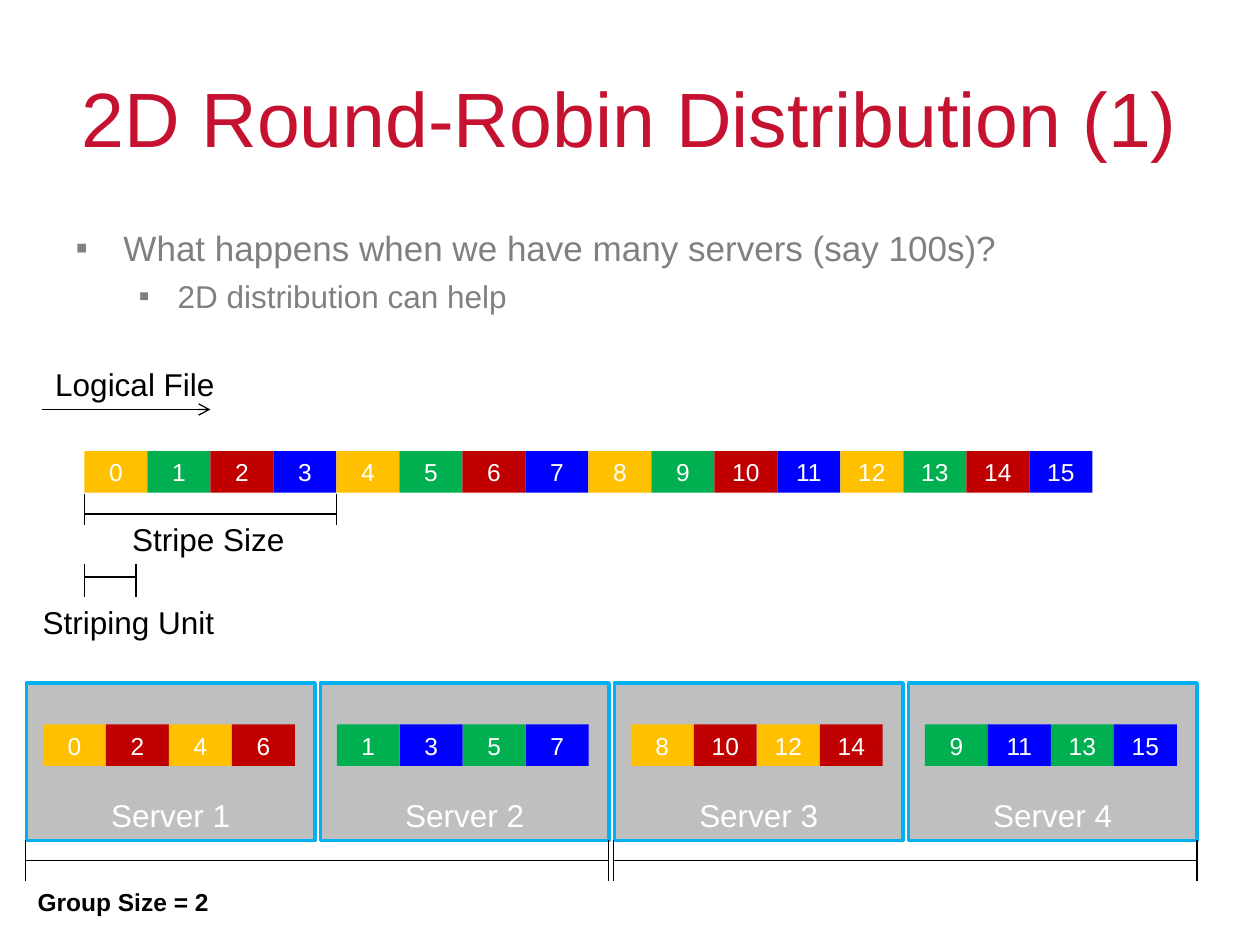
from lxml import etree
from pptx import Presentation
from pptx.dml.color import RGBColor
from pptx.enum.shapes import MSO_CONNECTOR, MSO_SHAPE
from pptx.enum.text import MSO_ANCHOR, MSO_AUTO_SIZE, PP_ALIGN
from pptx.oxml.ns import qn
from pptx.util import Inches, Pt

RECTANGLE = MSO_SHAPE.RECTANGLE
STRAIGHT = MSO_CONNECTOR.STRAIGHT
MIDDLE, BOTTOM = MSO_ANCHOR.MIDDLE, MSO_ANCHOR.BOTTOM
CENTER = PP_ALIGN.CENTER
NO_FIT, GROW = MSO_AUTO_SIZE.NONE, MSO_AUTO_SIZE.SHAPE_TO_FIT_TEXT

RED, GRAY, BLACK, WHITE = "C41230", "808080", "000000", "FFFFFF"
SERVER_FILL, SERVER_LINE = "BFBFBF", "00B0F0"
BLOCK_COLORS = ["FFC000", "00B050", "C00000", "0000FF"]

BLOCK_WIDTH, BLOCK_HEIGHT, BLOCK_COUNT = 0.5, 0.33, 16
SERVER_COUNT, SERVER_WIDTH, SERVER_HEIGHT = 4, 2.29, 1.25
SERVER_LEFT, SERVER_TOP, SERVER_PITCH = 0.21, 5.42, 7 / 3
GROUP_SIZE = 2
BLOCKS_PER_GROUP = BLOCK_COUNT * GROUP_SIZE // SERVER_COUNT

# Text, level, size, space before, left margin, first-line indent
BULLETS = [
    ("What happens when we have many servers (say 100s)?", 0, 20, 0, 0.38, -0.38),
    ("2D distribution can help", 1, 18, 4.5, 0.81, -0.31),
]


def rgb(color):
    return RGBColor.from_string(color)


class SlideBuilder:
    """Holds the text style and the slide being filled."""

    font_name = "Arial"

    def __init__(self, slide):
        self.slide = slide

    def style(self, para, size, color, bold=False):
        formats = {"name": self.font_name, "size": Pt(size), "bold": bold}
        for key, value in formats.items():
            setattr(para.font, key, value)
        para.font.color.rgb = rgb(color)

    def place(self, shape, left, top, width, height):
        bounds = {"left": left, "top": top, "width": width, "height": height}
        for key, value in bounds.items():
            setattr(shape, key, Inches(value))

    def title(self, text):
        title = self.slide.shapes.title
        self.place(title, 0.5, 0.3, 9, 1.25)
        frame = title.text_frame
        frame.text = text
        frame.auto_size = NO_FIT
        frame.vertical_anchor = MIDDLE
        para = frame.paragraphs[0]
        para.alignment = CENTER
        self.style(para, 44, RED)

    def bullets(self, items):
        body = self.slide.placeholders[1]
        self.place(body, 0.5, 1.75, 9, 4.95)
        frame = body.text_frame
        frame.text = "\n".join(item[0] for item in items)
        frame.auto_size = NO_FIT
        for para, item in zip(frame.paragraphs, items):
            _, para.level, size, before, margin, indent = item
            para.space_before = Pt(before)
            properties = para._p.get_or_add_pPr()
            properties.set("marL", str(Inches(margin)))
            properties.set("indent", str(Inches(indent)))
            bullet_color = etree.SubElement(properties, qn("a:buClr"))
            etree.SubElement(bullet_color, qn("a:srgbClr"), val=GRAY)
            etree.SubElement(properties, qn("a:buChar"), char="▪")
            self.style(para, size, GRAY)

    def rectangle(self, text, left, top, width, height, fill, size, anchor, line=None):
        box = self.slide.shapes.add_shape(
            RECTANGLE, Inches(left), Inches(top), Inches(width), Inches(height))
        box.shadow.inherit = False
        box.fill.solid()
        box.fill.fore_color.rgb = rgb(fill)
        if line:
            box.line.color.rgb = rgb(line)
            box.line.width = Pt(2)
        else:
            box.line.fill.background()
        frame = box.text_frame
        frame.text = text
        frame.vertical_anchor = anchor
        para = frame.paragraphs[0]
        para.alignment = CENTER
        self.style(para, size, WHITE)

    def block(self, number, left, top):
        fill = BLOCK_COLORS[number % len(BLOCK_COLORS)]
        self.rectangle(str(number), left, top, BLOCK_WIDTH, BLOCK_HEIGHT, fill, 14, MIDDLE)

    def server(self, index):
        self.rectangle(f"Server {index + 1}", SERVER_LEFT + index * SERVER_PITCH, SERVER_TOP,
                       SERVER_WIDTH, SERVER_HEIGHT, SERVER_FILL, 18, BOTTOM, SERVER_LINE)

    def label(self, text, left, top, width, height=0.4, size=18, bold=False):
        box = self.slide.shapes.add_textbox(
            Inches(left), Inches(top), Inches(width), Inches(height))
        frame = box.text_frame
        frame.text = text
        frame.word_wrap = False
        frame.auto_size = GROW
        self.style(frame.paragraphs[0], size, BLACK, bold)

    def line(self, x1, y1, x2, y2, arrow=False):
        line = self.slide.shapes.add_connector(
            STRAIGHT, Inches(x1), Inches(y1), Inches(x2), Inches(y2))
        line.line.color.rgb = rgb(BLACK)
        line.line.width = Pt(0.75)
        if arrow:
            etree.SubElement(line.line._get_or_add_ln(), qn("a:tailEnd"), type="arrow")
        etree.SubElement(line._element.spPr, qn("a:effectLst"))

    def dimension(self, left, right, y, top, bottom):
        """Horizontal measuring line with a tick at each end."""
        self.line(left, y, right, y)
        for x in (left, right):
            self.line(x, top, x, bottom)


def main():
    deck = Presentation()
    deck.slide_width, deck.slide_height = Inches(10), Inches(7.5)
    page = SlideBuilder(deck.slides.add_slide(deck.slide_layouts[1]))
    page.title("2D Round-Robin Distribution (1)")
    page.bullets(BULLETS)

    page.label("Logical File", 0.34, 2.85, 1.5)
    page.line(0.33, 3.25, 1.67, 3.25, arrow=True)
    for number in range(BLOCK_COUNT):
        page.block(number, 0.67 + number * BLOCK_WIDTH, 3.58)

    page.dimension(0.67, 2.67, 4.08, 3.92, 4.17)
    page.label("Stripe Size", 0.95, 4.08, 1.45)
    page.dimension(0.67, 1.08, 4.58, 4.48, 4.74)
    page.label("Striping Unit", 0.24, 4.74, 1.6)

    for index in range(SERVER_COUNT):
        page.server(index)
        group, member = divmod(index, GROUP_SIZE)
        first = group * BLOCKS_PER_GROUP
        numbers = range(first + member, first + BLOCKS_PER_GROUP, GROUP_SIZE)
        blocks_left = SERVER_LEFT + index * SERVER_PITCH + 0.13
        for slot, number in enumerate(numbers):
            page.block(number, blocks_left + slot * BLOCK_WIDTH, 5.75)

    for left, right in ((0.2, 4.83), (4.87, 9.5)):
        page.dimension(left, right, 6.83, 6.67, 6.99)
    page.label("Group Size = 2", 0.2, 6.99, 1.6, 0.34, size=14, bold=True)

    deck.save("out.pptx")


if __name__ == "__main__":
    main()
